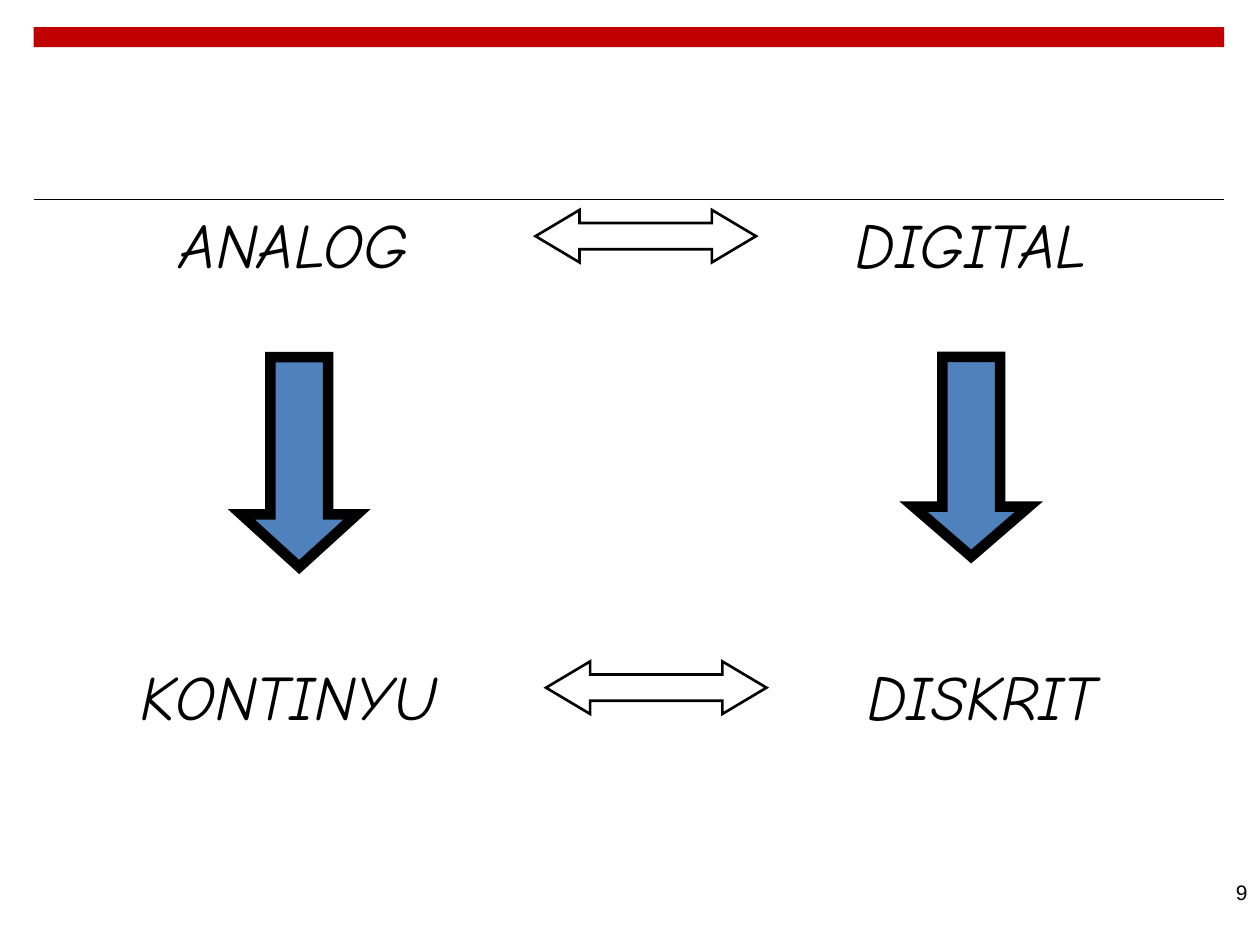
from dataclasses import dataclass

from lxml.etree import SubElement
from pptx import Presentation
from pptx.dml.color import RGBColor
from pptx.enum.shapes import MSO_CONNECTOR as Connector, MSO_SHAPE as Shape
from pptx.enum.text import MSO_ANCHOR as Anchor, PP_ALIGN as Align
from pptx.oxml.ns import qn
from pptx.util import Inches, Pt


@dataclass(frozen=True)
class Theme:
    ink: RGBColor = RGBColor(0, 0, 0)
    paper: RGBColor = RGBColor(255, 255, 255)
    bar: RGBColor = RGBColor(0xC0, 0, 0)
    arrow: RGBColor = RGBColor(0x4F, 0x81, 0xBD)
    term_font: str = "Comic Neue"
    number_font: str = "Arial"
    term_size: float = 36
    number_size: float = 12
    rule_width: float = 0.6
    thin_line: float = 1.5
    thick_line: float = 6


@dataclass(frozen=True)
class Box:
    """Columns and rows of a grid with 12 cells to the inch."""
    left: float
    top: float
    width: float
    height: float

    def emu(self):
        return [Inches(cells / 12)
                for cells in (self.left, self.top, self.width, self.height)]


THEME = Theme()


def add_text(slide, box, text, font_name, size, align, anchor=Anchor.TOP, italic=False):
    frame = slide.shapes.add_textbox(*box.emu()).text_frame
    frame.word_wrap = True
    frame.vertical_anchor = anchor
    paragraph = frame.paragraphs[0]
    paragraph.text = text
    paragraph.alignment = align
    font = paragraph.font
    font.name, font.size, font.italic = font_name, Pt(size), italic
    font.color.rgb = THEME.ink


def add_block(slide, kind, box, fill, line_width=None, adjustments=()):
    shape = slide.shapes.add_shape(kind, *box.emu())
    shape.shadow.inherit = False
    shape.fill.solid()
    shape.fill.fore_color.rgb = fill
    for index, value in enumerate(adjustments):
        shape.adjustments[index] = value
    if line_width is None:
        shape.line.fill.background()
        return
    shape.line.color.rgb = THEME.ink
    shape.line.width = Pt(line_width)
    # Sharp corners on the outline
    SubElement(shape.line._get_or_add_ln(), qn("a:miter"), lim="800000")


def add_header(slide, box):
    """Red bar along the top of the box and a thin rule along its bottom."""
    add_block(slide, Shape.RECTANGLE, Box(box.left, box.top, box.width, 1.9), THEME.bar)
    left, top, width, height = box.emu()
    rule = slide.shapes.add_connector(
        Connector.STRAIGHT, left, top + height, left + width, top + height)
    rule.line.color.rgb = THEME.ink
    rule.line.width = Pt(THEME.rule_width)
    SubElement(rule._element.spPr, qn("a:effectLst"))


def add_opposites(slide, box, left_term, left_width, right_term):
    """Two terms at the ends of the box with a double arrow between them."""
    right_width, arrow_width, gap = 33, 21, 4
    right_edge = box.left + box.width - right_width
    for term, left, width in ((left_term, box.left, left_width),
                              (right_term, right_edge, right_width)):
        add_text(slide, Box(left, box.top, width, box.height), term,
                 THEME.term_font, THEME.term_size, Align.CENTER, italic=True)
    arrow_box = Box(right_edge - gap - arrow_width, box.top + 1, arrow_width, 5)
    add_block(slide, Shape.LEFT_RIGHT_ARROW, arrow_box, THEME.paper,
              THEME.thin_line, (0.5, 0.84))


def add_down_arrow(slide, box):
    """Heavy arrow whose head takes a quarter of the box height."""
    add_block(slide, Shape.DOWN_ARROW, box, THEME.arrow, THEME.thick_line,
              (0.5, box.height / 4 / box.width))


def add_slide_number(slide, box, number):
    add_text(slide, box, number, THEME.number_font, THEME.number_size,
             Align.RIGHT, Anchor.MIDDLE)


def main():
    presentation = Presentation()
    presentation.slide_width, presentation.slide_height = Inches(10), Inches(7.5)
    slide = presentation.slides.add_slide(presentation.slide_layouts[6])

    add_header(slide, Box(3.2, 2.6, 113.4, 16.4))
    add_slide_number(slide, Box(92, 82, 28, 6), "9")

    # Signal types above, the nature of their values below
    add_opposites(slide, Box(12, 19, 97, 8.4), "ANALOG", 32, "DIGITAL")
    add_opposites(slide, Box(9, 62, 101, 8.4), "KONTINYU", 37, "DISKRIT")

    # Each type leads down to its nature
    for left, height in ((23, 20), (87, 19)):
        add_down_arrow(slide, Box(left, 34, 11, height))

    presentation.save("out.pptx")


if __name__ == "__main__":
    main()
